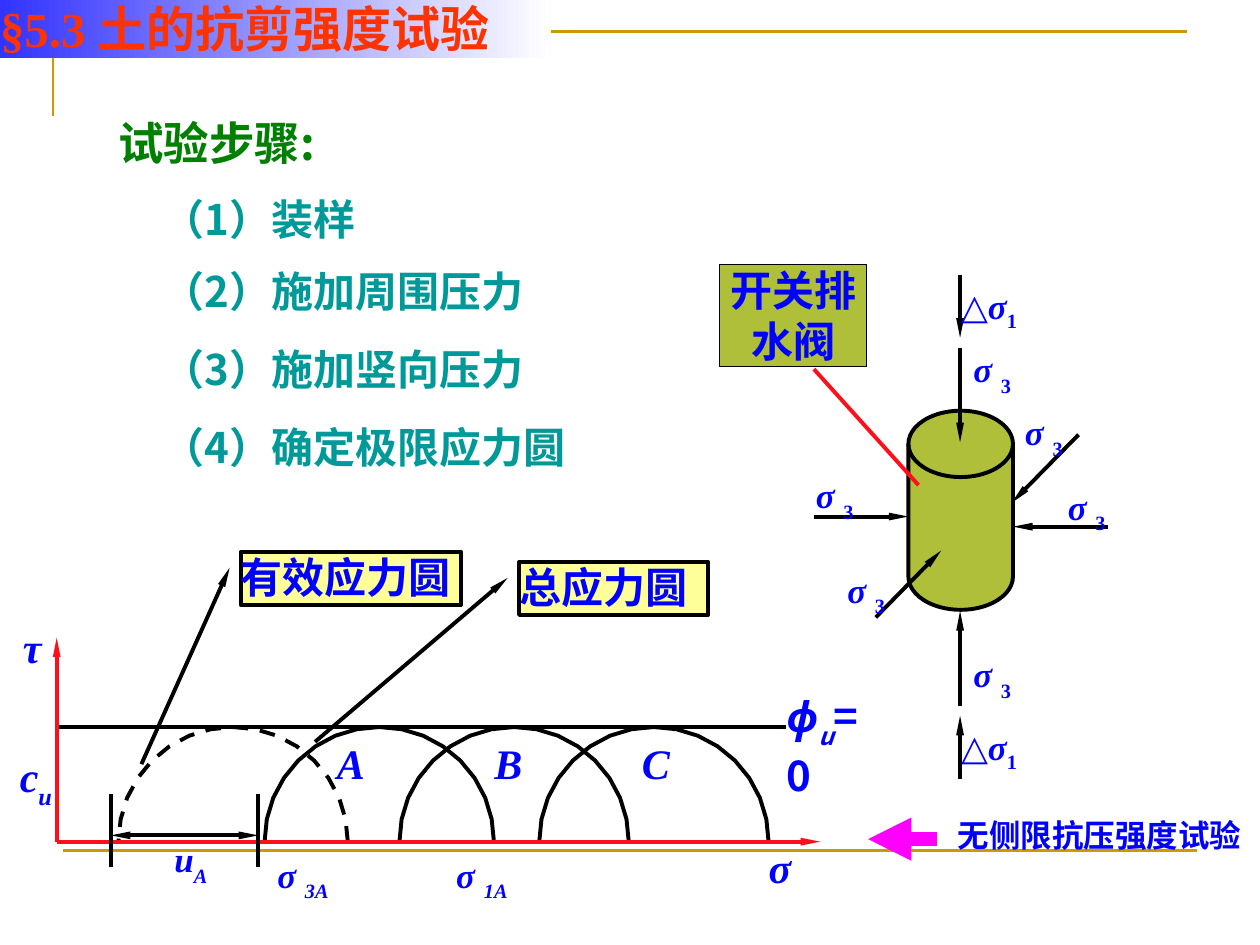
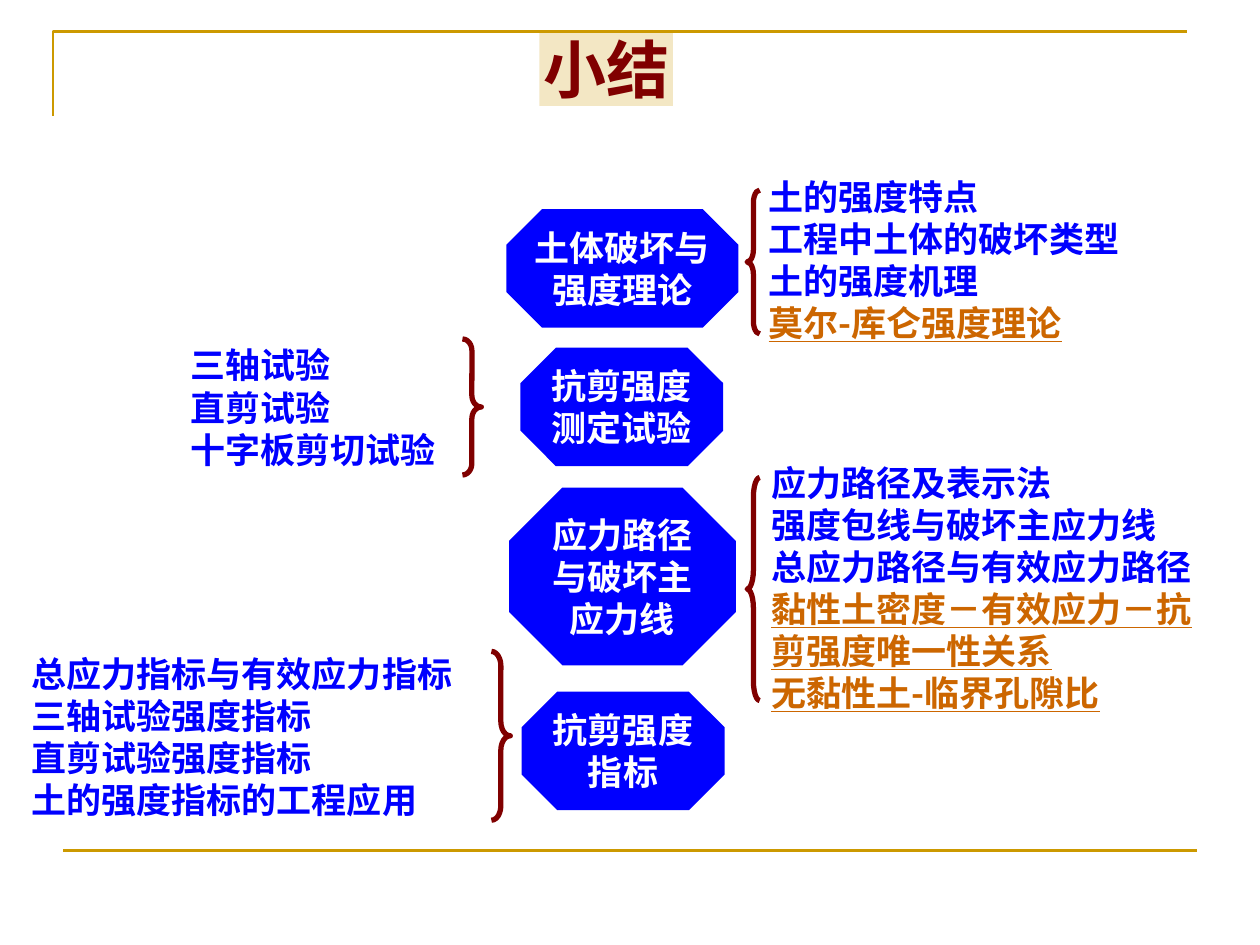
from math import cos, pi, sin
from lxml.etree import SubElement
from pptx import Presentation
from pptx.dml.color import RGBColor
from pptx.enum.dml import MSO_LINE
from pptx.enum.shapes import MSO_CONNECTOR, MSO_SHAPE
from pptx.enum.text import MSO_ANCHOR, MSO_AUTO_SIZE, PP_ALIGN
from pptx.oxml.ns import qn
from pptx.util import Inches, Pt

rgb = RGBColor.from_string
SERIF, SANS = "Times New Roman", "Noto Sans CJK SC"
BLUE, RED, BLACK, WHITE = "0000FF", "FE101B", "000000", "FFFFFF"
GOLD, OLIVE, MAROON, TEAL, ORANGE = "CC9900", "AFBF39", "800000", "009999", "CC6600"
SLIM = {"type": "triangle", "w": "sm", "len": "lg"}
BROAD = {"type": "triangle"}


def connect(s, x1, y1, x2, y2, color=BLACK, width=2.25, ends=("tailEnd",), head=SLIM):
    c = s.shapes.add_connector(MSO_CONNECTOR.STRAIGHT, Inches(x1), Inches(y1), Inches(x2), Inches(y2))
    c.line.color.rgb = rgb(color)
    c.line.width = Pt(width)
    spPr = c.element.spPr
    for end in ends:
        SubElement(spPr.find(qn("a:ln")), qn(f"a:{end}"), head)
    SubElement(spPr, qn("a:effectLst"))
    return c


def write(p, text, size, color=BLUE, font=SERIF, italic=False, base=0):
    r = p.add_run()
    r.text = text
    r.font.size = Pt(size)
    r.font.bold = True
    r.font.italic = italic
    r.font.color.rgb = rgb(color)
    r.font.name = font
    rPr = r.font._element
    SubElement(rPr, qn("a:ea"), typeface=SANS)
    if base:
        rPr.set("baseline", str(base * 1000))
    return r


prs = Presentation()
prs.slide_width, prs.slide_height = Inches(10), Inches(7.5)
s1 = prs.slides.add_slide(prs.slide_layouts[1])
s2 = prs.slides.add_slide(prs.slide_layouts[4])

fb = s1.shapes.build_freeform(Inches(0.42), Inches(0.92), scale=1)
fb.add_line_segments([(Inches(0.42), Inches(0.25)), (Inches(9.42), Inches(0.25))], close=False)
corner = fb.convert_to_shape()
corner.fill.background()
corner.shadow.inherit = False
corner.line.color.rgb = rgb(GOLD)
corner.line.width = Pt(1.5)
footer = connect(s1, 0.5, 6.75, 9.5, 6.75, GOLD, 1.5, ())
for i, sp in enumerate((corner, footer)):
    sp.element.xpath(".//p:cNvPr")[0].set("id", str(20 + i))
    prs.slide_master.shapes.element.append(sp.element)

titles = [
    (s1, "§5.3 土的抗剪强度试验", (0, -0.01, 4.37, 0.47), 28, "FF3300", SERIF, PP_ALIGN.LEFT),
    (s2, "小结", (4.28, 0.24, 1.06, 0.6), 36, MAROON, SANS, PP_ALIGN.CENTER),
]
for s, text, box, size, color, font, align in titles:
    sp = s.shapes.title
    sp.left, sp.top, sp.width, sp.height = [Inches(v) for v in box]
    tf = sp.text_frame
    tf.margin_left = tf.margin_right = tf.margin_top = tf.margin_bottom = 0
    tf.auto_size = MSO_AUTO_SIZE.NONE
    tf.vertical_anchor = MSO_ANCHOR.MIDDLE
    tf.word_wrap = True
    p = tf.paragraphs[0]
    p.alignment = align
    p.line_spacing = Pt(size * 1.2)
    write(p, text, size, color, font)
band = s1.shapes.title.fill
band.gradient()
band.gradient_angle = 0
for stop, color in zip(band.gradient_stops, ("3333FF", WHITE)):
    stop.color.rgb = rgb(color)
sp = s2.shapes.title
sp.fill.solid()
sp.fill.fore_color.rgb = rgb(GOLD)
SubElement(sp.element.spPr.find(".//" + qn("a:srgbClr")), qn("a:alpha"), val="23000")

steps = [("试验步骤:", 26, "008000", 0, 0)]
for text, gap in (("（1）装样", 14), ("（2）施加周围压力", 12), ("（3）施加竖向压力", 16), ("（4）确定极限应力圆", 16)):
    steps.append((text, 24, TEAL, gap, 0.35))
summaries = [
    (6.1, 1.39, 3.35, 1.33, ["土的强度特点", "工程中土体的破坏类型", "土的强度机理"], ["莫尔-库仑强度理论"]),
    (1.51, 2.73, 2.37, 1, ["三轴试验", "直剪试验", "十字板剪切试验"], []),
    (6.12, 3.66, 3.45, 2, ["应力路径及表示法", "强度包线与破坏主应力线", "总应力路径与有效应力路径"],
     ["黏性土密度－有效应力－抗剪强度唯一性关系", "无黏性土-临界孔隙比"]),
    (0.25, 5.18, 3.7, 1.33,
     ["总应力指标与有效应力指标", "三轴试验强度指标", "直剪试验强度指标", "土的强度指标的工程应用"], []),
]
lists = [(s1.placeholders[1], (0.94, 0.91, 5, 2.9), steps)]
for idx, (x, y, w, h, plain, marked) in enumerate(summaries, 1):
    items = [(t, 20, BLUE, 0, 0) for t in plain] + [(t, 20, ORANGE, 0, 0) for t in marked]
    lists.append((s2.placeholders[idx], (x, y, w, h), items))
for sp, box, items in lists:
    sp.left, sp.top, sp.width, sp.height = [Inches(v) for v in box]
    tf = sp.text_frame
    tf.margin_left = tf.margin_right = tf.margin_top = tf.margin_bottom = 0
    tf.auto_size = MSO_AUTO_SIZE.NONE
    tf.vertical_anchor = MSO_ANCHOR.TOP
    for i, (text, size, color, gap, indent) in enumerate(items):
        p = tf.add_paragraph() if i else tf.paragraphs[0]
        pPr = p._p.get_or_add_pPr()
        pPr.set("marL", str(Inches(indent)))
        pPr.set("indent", "0")
        SubElement(pPr, qn("a:buNone"))
        p.alignment = PP_ALIGN.LEFT
        p.line_spacing = Pt(size * 1.2)
        p.space_before = Pt(gap)
        r = write(p, text, size, color, SANS)
        if color == ORANGE:
            r.font.underline = True

sample = s1.shapes.add_shape(MSO_SHAPE.FLOWCHART_MAGNETIC_DISK, Inches(7.21), Inches(3.26), Inches(0.83), Inches(1.58))
sample.shadow.inherit = False
sample.fill.solid()
sample.fill.fore_color.rgb = rgb(OLIVE)
sample.line.color.rgb = rgb(BLACK)
sample.line.width = Pt(2.25)

pressures = [
    (6.46, 4.1, 7.21, 4.1), (8.79, 4.18, 8.04, 4.18), (6.95, 4.9, 7.47, 4.37), (8.56, 3.45, 8.03, 3.99),
    (7.62, 2.76, 7.62, 3.51), (7.62, 5.6, 7.62, 4.85), (7.62, 2.18, 7.62, 2.68), (7.62, 6.18, 7.62, 5.68),
]
for ends in pressures:
    connect(s1, *ends)
connect(s1, 7.29, 3.85, 6.46, 2.93, RED, ends=())

base_y, radius = 6.68, 0.91
for center in (1.85, 4.08, 5.19, 3.01):
    points = [(Inches(center + radius * cos(pi * i / 16)), Inches(base_y - radius * sin(pi * i / 16))) for i in range(17)]
    fb = s1.shapes.build_freeform(*points[0], scale=1)
    fb.add_line_segments(points[1:], close=False)
    circle = fb.convert_to_shape()
    circle.fill.background()
    circle.shadow.inherit = False
    circle.line.color.rgb = rgb(BLACK)
    circle.line.width = Pt(2.25)
    if center == 1.85:
        circle.line.dash_style = MSO_LINE.DASH

connect(s1, 0.45, 5.77, 6.24, 5.77, ends=())
connect(s1, 0.45, 5.06, 0.45, base_y, RED, ends=("headEnd",))
connect(s1, 0.45, base_y, 6.51, base_y, RED)
for x in (0.88, 2.05):
    connect(s1, x, 6.3, x, 6.88, ends=())
connect(s1, 0.88, 6.63, 2.05, 6.63, ends=("headEnd", "tailEnd"))
connect(s1, 7.44, 6.66, 6.89, 6.66, "FF00FF", 8.25, head=BROAD)

notes = [
    (MSO_SHAPE.RECTANGLE, "开关排水阀", (5.71, 2.1, 1.17, 0.81), OLIVE, 0.75, PP_ALIGN.CENTER, ()),
    (MSO_SHAPE.LINE_CALLOUT_1, "有效应力圆", (1.91, 4.38, 1.75, 0.42), "FFFF99", 2.25, PP_ALIGN.LEFT,
     (0.3, -0.05, 4.01, -0.45)),
    (MSO_SHAPE.LINE_CALLOUT_1, "总应力圆", (4.12, 4.46, 1.5, 0.42), "FFFF99", 2.25, PP_ALIGN.LEFT,
     (0.3, -0.06, 3.4, -1.08)),
]
for kind, text, box, fill, width, align, leader in notes:
    sp = s1.shapes.add_shape(kind, *[Inches(v) for v in box])
    sp.shadow.inherit = False
    sp.fill.solid()
    sp.fill.fore_color.rgb = rgb(fill)
    sp.line.color.rgb = rgb(BLACK)
    sp.line.width = Pt(width)
    for i, v in enumerate(leader):
        sp.adjustments[i] = v
    if leader:
        SubElement(sp.element.spPr.find(qn("a:ln")), qn("a:headEnd"), SLIM)
    tf = sp.text_frame
    tf.margin_left = tf.margin_right = tf.margin_top = tf.margin_bottom = 0
    tf.vertical_anchor = MSO_ANCHOR.TOP
    p = tf.paragraphs[0]
    p.alignment = align
    p.line_spacing = Pt(24 * 1.2)
    write(p, text, 24)

sigma3 = [("σ ", True, 0), ("3", False, -30)]
delta1 = [("△σ", True, 0), ("1", False, -25)]
labels = [(x, y, 0.33, 20, sigma3) for x, y in
          ((6.46, 3.76), (8.46, 3.85), (8.12, 3.26), (6.71, 4.51), (7.71, 5.18), (7.71, 2.76))]
labels += [(7.58, y, 0.54, 20, delta1) for y in (5.76, 2.26)]
labels += [(x, 5.85, 0.25, 24, [(name, True, 0)]) for x, name in ((2.66, "A"), (3.91, "B"), (5.08, "C"))]
labels += [(x, 6.77, 0.45, 20, [("σ ", True, 0), (sub, True, -30)]) for x, sub in ((2.18, "3A"), (3.6, "1A"))]
labels += [
    (0.15, 5.96, 0.27, 24, [("c", True, 0), ("u", True, -30)]),
    (1.38, 6.65, 0.27, 20, [("u", True, 0), ("A", True, -30)]),
    (6.09, 6.68, 0.2, 24, [("σ", True, 0)]),
    (0.17, 4.93, 0.17, 24, [("τ", True, 0)]),
    (6.24, 5.48, 0.65, 24, [("ϕ", True, 0), ("u", True, -30), ("=0", False, 0)]),
    (7.6, 6.48, 2.4, 18, [("无侧限抗压强度试验", False, 0)]),
]
fonts = {"ϕ": SANS, "无侧限抗压强度试验": "Arial"}
for x, y, w, size, runs in labels:
    first = runs[0][0]
    tf = s1.shapes.add_textbox(Inches(x), Inches(y), Inches(w), Inches(size / 60)).text_frame
    tf.margin_left = tf.margin_right = tf.margin_top = tf.margin_bottom = 0
    tf.word_wrap = first == "ϕ"
    p = tf.paragraphs[0]
    p.alignment = PP_ALIGN.LEFT if first in fonts else PP_ALIGN.CENTER
    for text, italic, base in runs:
        write(p, text, size, BLUE, fonts.get(first, SERIF), italic, base)

topics = [
    (4.02, 1.66, 1.84, 0.94, ["土体破坏与强度理论"]),
    (4.13, 2.76, 1.61, 0.94, ["抗剪强度测定试验"]),
    (4.04, 3.87, 1.8, 1.41, ["应力路径与破坏主应力线"]),
    (4.14, 5.49, 1.61, 0.94, ["抗剪强度", "指标"]),
]
for x, y, w, h, lines in topics:
    sp = s2.shapes.add_shape(MSO_SHAPE.OCTAGON, Inches(x), Inches(y), Inches(w), Inches(h))
    sp.adjustments[0] = 0.3
    sp.shadow.inherit = False
    sp.fill.solid()
    sp.fill.fore_color.rgb = rgb(BLUE)
    sp.line.fill.background()
    tf = sp.text_frame
    tf.margin_left = tf.margin_right = tf.margin_top = tf.margin_bottom = 0
    for i, text in enumerate(lines):
        p = tf.add_paragraph() if i else tf.paragraphs[0]
        p.alignment = PP_ALIGN.CENTER
        p.line_spacing = Pt(24)
        write(p, text, 20, WHITE, SANS)

braces = [
    (MSO_SHAPE.LEFT_BRACE, 5.93, 1.51, 0.1, 1.14, 0.98),
    (MSO_SHAPE.LEFT_BRACE, 5.93, 3.79, 0.1, 1.77, 1.52),
    (MSO_SHAPE.RIGHT_BRACE, 3.67, 2.69, 0.15, 1.08, 0.61),
    (MSO_SHAPE.RIGHT_BRACE, 3.9, 5.17, 0.15, 1.34, 0.76),
]
for kind, x, y, w, h, curl in braces:
    sp = s2.shapes.add_shape(kind, Inches(x), Inches(y), Inches(w), Inches(h))
    sp.adjustments[0] = curl
    sp.adjustments[1] = 0.5
    sp.shadow.inherit = False
    sp.fill.background()
    sp.line.color.rgb = rgb(MAROON)
    sp.line.width = Pt(3)

prs.save("out.pptx")
